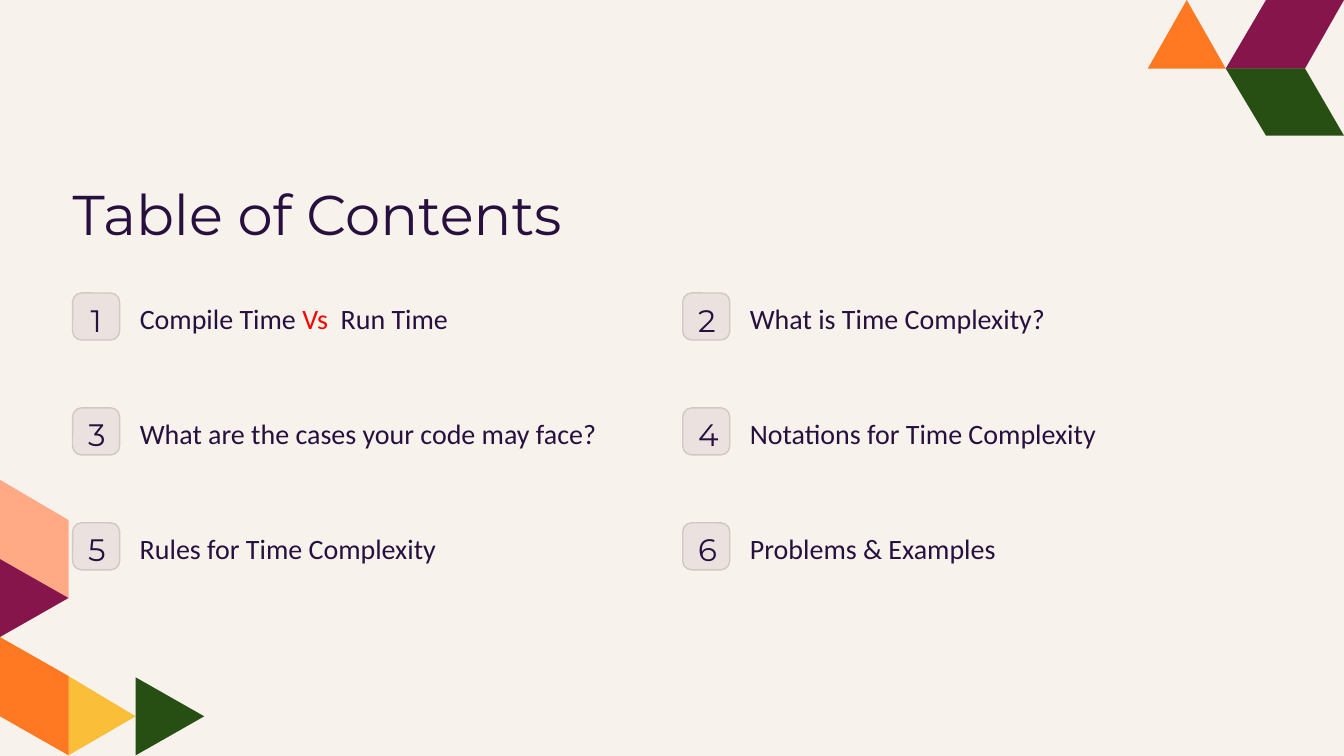
from typing import NamedTuple

from pptx import Presentation
from pptx import util as u
from pptx.dml.color import RGBColor
from pptx.enum import shapes, text
from pptx.util import Inches

CREAM = RGBColor(0xF7, 0xF2, 0xEC)
INK = RGBColor(0x27, 0x10, 0x3E)
RED = RGBColor(0xFF, 0x00, 0x00)
BADGE_FILL = RGBColor(0xEB, 0xE2, 0xE0)
BADGE_LINE = RGBColor(0xD1, 0xC8, 0xC6)
PLUM = RGBColor(0x86, 0x15, 0x4B)
GREEN = RGBColor(0x27, 0x4E, 0x13)
ORANGE = RGBColor(0xFF, 0x79, 0x22)
PEACH = RGBColor(0xFF, 0xAA, 0x85)
YELLOW = RGBColor(0xFA, 0xBE, 0x39)

SLIDE_WIDTH = Inches(10)
SLIDE_HEIGHT = SLIDE_WIDTH * 9 // 16
COLUMN_LEFTS = (0.54, 5.08)
FIRST_ROW, LAST_ROW, ROWS = 2.18, 3.89, 3
ROW_STEP = (LAST_ROW - FIRST_ROW) / (ROWS - 1)
BADGE = 0.35
NUMBER_WIDTH = 0.12
LABEL_OFFSET = 0.5


class Tile(NamedTuple):
    color: RGBColor
    corners: tuple[tuple[float, float], ...]


class Run(NamedTuple):
    words: str
    color: RGBColor = INK


class Topic(NamedTuple):
    runs: tuple[Run, ...]
    width: float


class Style(NamedTuple):
    font: str
    size: float
    spacing: float = 1.0
    align: text.PP_ALIGN = text.PP_ALIGN.LEFT


TITLE = Style("Montserrat", 30, 1.25)
NUMBER = Style("Montserrat", 16.6, align=text.PP_ALIGN.CENTER)
LABEL = Style("Calibri", 15, 1.27)

TILES = (
    # Top right corner
    Tile(PLUM, ((9.71, 0.51), (10, 0), (9.42, 0), (9.12, 0.51))),
    Tile(GREEN, ((9.71, 0.51), (10, 1.01), (9.42, 1.01), (9.12, 0.51))),
    Tile(ORANGE, ((8.83, 0), (8.54, 0.51), (9.12, 0.51))),
    # Bottom left corner
    Tile(PEACH, ((0, 4.16), (0.51, 4.45), (0.51, 3.87), (0, 3.57))),
    Tile(YELLOW, ((1.01, 5.33), (0.51, 5.03), (0.51, 5.62))),
    Tile(PLUM, ((0.51, 4.45), (0, 4.16), (0, 4.74))),
    Tile(ORANGE, ((0, 5.33), (0.51, 5.62), (0.51, 5.03), (0, 4.74))),
    Tile(GREEN, ((1.52, 5.33), (1.01, 5.04), (1.01, 5.62))),
)

TOPICS = (
    Topic((Run("Compile Time "), Run("Vs ", RED), Run(" Run Time")), 2.79),
    Topic((Run("What is Time Complexity?"),), 2.73),
    Topic((Run("What are the cases your code may face?"),), 3.91),
    Topic((Run("Notations for Time Complexity"),), 3.07),
    Topic((Run("Rules for Time Complexity"),), 2.6),
    Topic((Run("Problems & Examples"),), 2.79),
)


def draw_tile(slide, tile: Tile) -> None:
    start, *others = [(Inches(x), Inches(y)) for x, y in tile.corners]
    outline = slide.shapes.build_freeform(*start)
    outline.add_line_segments(others, close=True)
    piece = outline.convert_to_shape()
    piece.shadow.inherit = False
    piece.fill.solid()
    piece.fill.fore_color.rgb = tile.color
    piece.line.fill.background()


def draw_text(slide, left: float, top: float, width: float, height: float,
              runs: tuple[Run, ...], style: Style) -> None:
    box = slide.shapes.add_textbox(Inches(left), Inches(top), Inches(width), Inches(height))
    frame = box.text_frame
    frame.word_wrap = True
    frame.margin_left = frame.margin_top = frame.margin_right = frame.margin_bottom = 0
    line = frame.paragraphs[0]
    line.alignment = style.align
    line.line_spacing = style.spacing
    for part in runs:
        run = line.add_run()
        run.text = part.words
        run.font.name = style.font
        run.font.size = u.Pt(style.size)
        run.font.color.rgb = part.color


def draw_topic(slide, index: int, topic: Topic) -> None:
    row, column = divmod(index, len(COLUMN_LEFTS))
    left, top = COLUMN_LEFTS[column], FIRST_ROW + row * ROW_STEP

    badge = slide.shapes.add_shape(shapes.MSO_SHAPE.ROUNDED_RECTANGLE, Inches(left),
                                   Inches(top), Inches(BADGE), Inches(BADGE))
    badge.adjustments[0] = 0.19
    badge.shadow.inherit = False
    badge.fill.solid()
    badge.fill.fore_color.rgb = BADGE_FILL
    badge.line.color.rgb = BADGE_LINE
    badge.line.width = u.Pt(0.75)

    draw_text(slide, left + (BADGE - NUMBER_WIDTH) / 2, top + 0.06, NUMBER_WIDTH, 0.23,
              (Run(str(index + 1)),), NUMBER)
    draw_text(slide, left + LABEL_OFFSET, top, topic.width, 0.24, topic.runs, LABEL)


def main() -> None:
    deck = Presentation()
    deck.slide_width, deck.slide_height = SLIDE_WIDTH, SLIDE_HEIGHT
    slide = deck.slides.add_slide(deck.slide_layouts[6])
    slide.background.fill.solid()
    slide.background.fill.fore_color.rgb = CREAM

    # Corner mosaics
    for tile in TILES:
        draw_tile(slide, tile)

    # Title and numbered topics
    draw_text(slide, COLUMN_LEFTS[0], 1.21, 3.88, 0.48, (Run("Table of Contents"),), TITLE)
    for index, topic in enumerate(TOPICS):
        draw_topic(slide, index, topic)

    deck.save("out.pptx")


if __name__ == "__main__":
    main()
